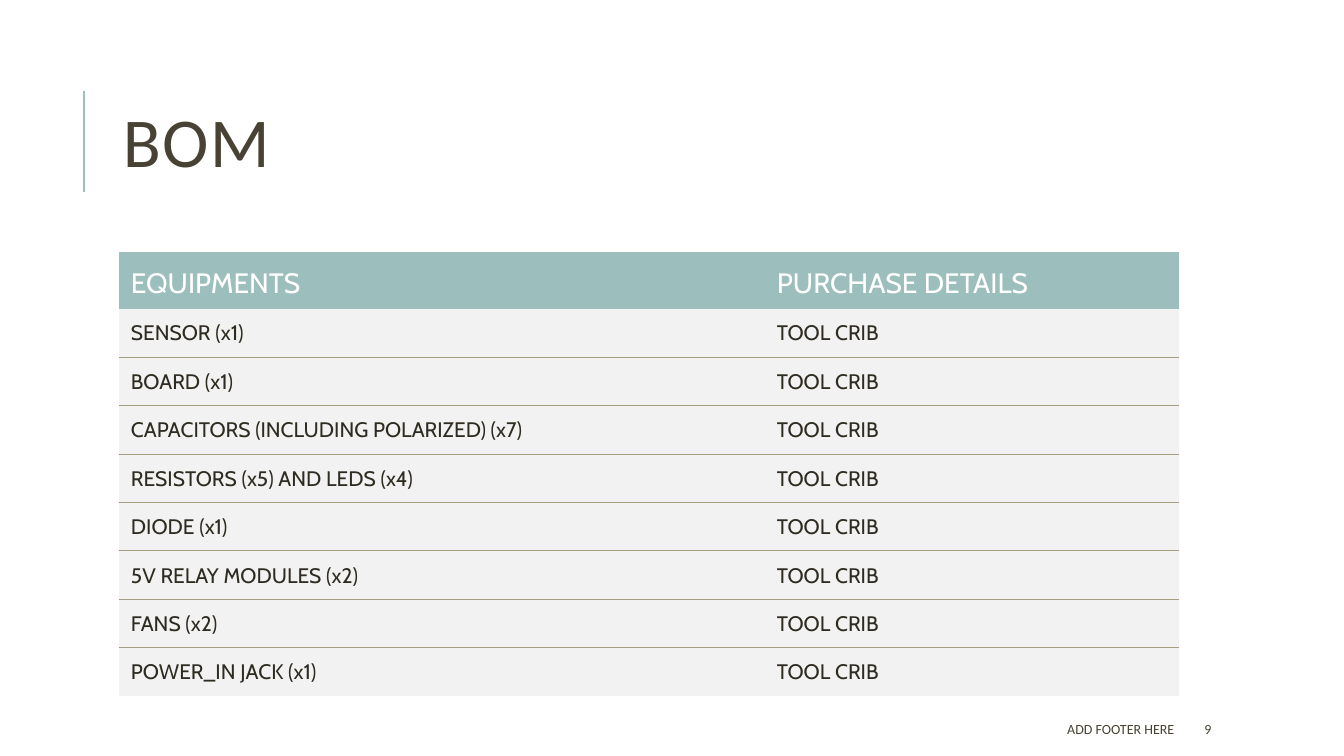
from lxml.etree import SubElement
from pptx import Presentation
from pptx.dml.color import RGBColor
from pptx.enum.shapes import MSO_CONNECTOR
from pptx.enum.text import MSO_ANCHOR, MSO_AUTO_SIZE, PP_ALIGN
from pptx.oxml.ns import qn
from pptx.util import Cm, Pt

COLORS = {"teal": "9CBEBD", "brown": "474233", "ink": "2E2B21",
          "row": "F2F2F2", "rule": "A59D82", "white": "FFFFFF"}
EQUIPMENT = ["SENSOR (x1)", "BOARD (x1)", "CAPACITORS (INCLUDING POLARIZED) (x7)",
             "RESISTORS (x5) AND LEDS (x4)", "DIODE (x1)", "5V RELAY MODULES (x2)",
             "FANS (x2)", "POWER_IN JACK (x1)"]
ROWS = [("EQUIPMENTS", "PURCHASE DETAILS")] + [(item, "TOOL CRIB") for item in EQUIPMENT]


def format_text(para, font_name, size, color):
    for span in para.runs:
        span.font.name = font_name
        span.font.size = Pt(size)
        span.font.bold = False
        span.font.color.rgb = RGBColor.from_string(COLORS[color])


def set_border(cell, side, color=None):
    line = SubElement(cell._tc.get_or_add_tcPr(), qn(f"a:{side}"), w=str(Pt(0.75)))
    if color:
        fill = SubElement(line, qn("a:solidFill"))
        SubElement(fill, qn("a:srgbClr"), val=COLORS[color])
    else:
        SubElement(line, qn("a:noFill"))


deck = Presentation()
deck.slide_width, deck.slide_height = Cm(33.87), Cm(19.05)
page = deck.slides.add_slide(deck.slide_layouts[5])

# Accent line beside the title
accent = page.shapes.add_connector(MSO_CONNECTOR.STRAIGHT, Cm(2.12), Cm(4.84), Cm(2.12), Cm(2.3))
accent.line.color.rgb = RGBColor.from_string(COLORS["teal"])
accent.line.width = Pt(1.5)
SubElement(accent._element.spPr, qn("a:effectLst"))

# Title
title = page.shapes.title
title.left, title.top, title.width, title.height = Cm(2.84), Cm(1.63), Cm(27), Cm(4.17)
title.text_frame.text = "BOM"
title.text_frame.auto_size = MSO_AUTO_SIZE.NONE
title.text_frame.vertical_anchor = MSO_ANCHOR.MIDDLE
para = title.text_frame.paragraphs[0]
para.alignment = PP_ALIGN.LEFT
para.line_spacing = 0.8
format_text(para, "Calibri", 50, "brown")
para.runs[0].font._element.set("spc", "100")

# Equipment table
HEADER_HEIGHT, ROW_HEIGHT = 1.43, 1.22
table = page.shapes.add_table(len(ROWS), 2, Cm(3), Cm(6.35), Cm(26.72),
                              Cm(HEADER_HEIGHT + ROW_HEIGHT * len(EQUIPMENT))).table
table.first_row = table.horz_banding = False
table.columns[0].width, table.columns[1].width = Cm(16.28), Cm(10.44)
for r, texts in enumerate(ROWS):
    header = r == 0
    table.rows[r].height = Cm(HEADER_HEIGHT if header else ROW_HEIGHT)
    for c, text in enumerate(texts):
        cell = table.cell(r, c)
        cell.text_frame.text = text
        cell.margin_left = cell.margin_right = cell.margin_top = Cm(0.3)
        cell.margin_bottom = Cm(0.15)
        cell.vertical_anchor = MSO_ANCHOR.MIDDLE if header else MSO_ANCHOR.TOP
        format_text(cell.text_frame.paragraphs[0], "Cabin",
                    20 if header else 15, "white" if header else "ink")
        set_border(cell, "lnL")
        set_border(cell, "lnR")
        set_border(cell, "lnT", "rule" if r > 1 else None)
        set_border(cell, "lnB", "rule" if 0 < r < len(EQUIPMENT) else None)
        cell.fill.solid()
        cell.fill.fore_color.rgb = RGBColor.from_string(COLORS["teal" if header else "row"])

# Footer and page number
for text, left, width, align in [("ADD FOOTER HERE", 13.46, 16.38, PP_ALIGN.RIGHT),
                                 ("9", 30.1, 2.69, PP_ALIGN.LEFT)]:
    box = page.shapes.add_textbox(Cm(left), Cm(17.98), Cm(width), Cm(0.76))
    box.text_frame.text = text
    box.text_frame.word_wrap = True
    box.text_frame.vertical_anchor = MSO_ANCHOR.MIDDLE
    para = box.text_frame.paragraphs[0]
    para.alignment = align
    para.space_after = Pt(6)
    format_text(para, "Calibri", 10, "brown")

deck.save("out.pptx")
